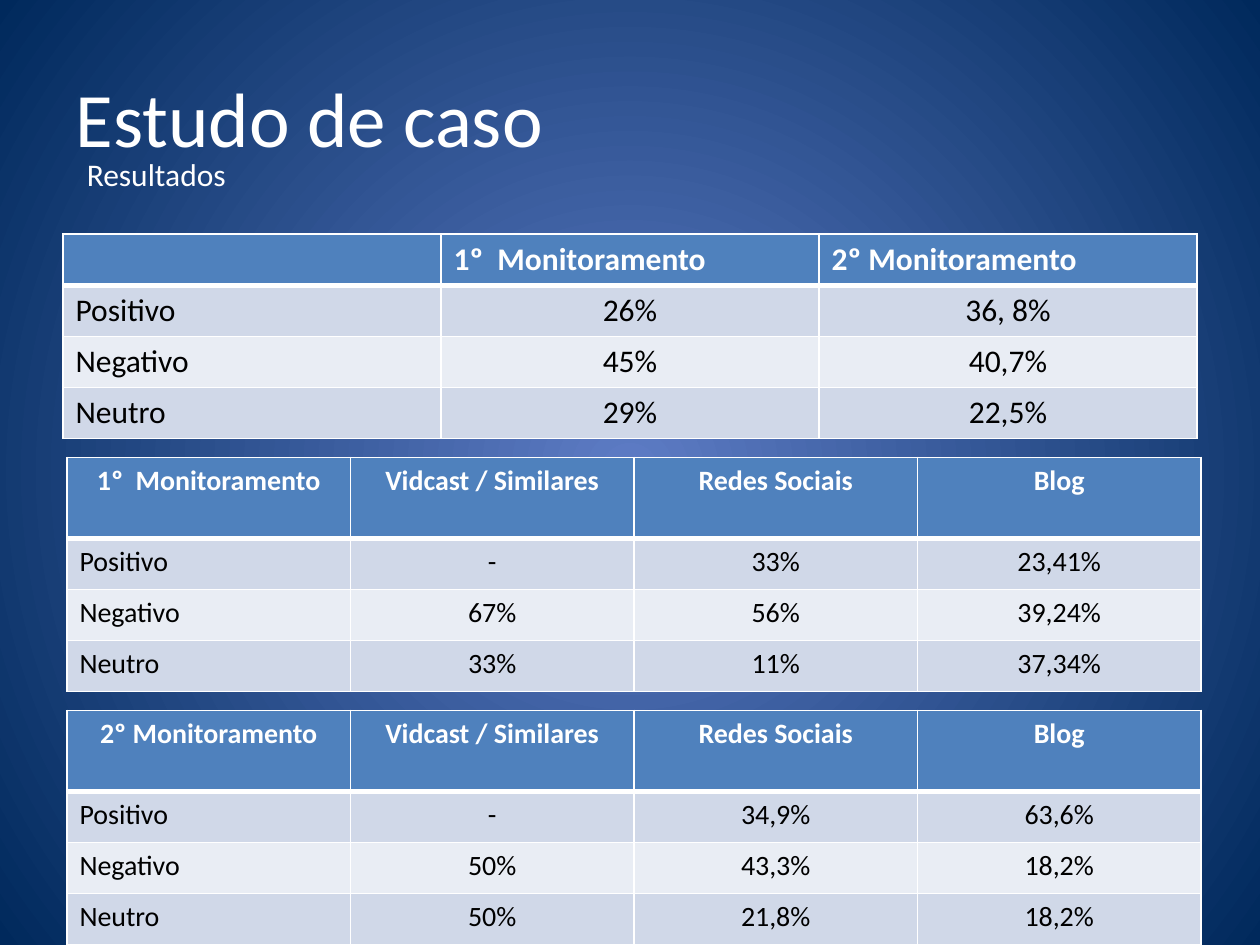
from lxml import etree
from pptx import Presentation
from pptx.dml.color import RGBColor
from pptx.enum.text import MSO_ANCHOR, PP_ALIGN
from pptx.oxml.ns import qn
from pptx.util import Cm, Pt

LEFT, CENTER = PP_ALIGN.LEFT, PP_ALIGN.CENTER
MIDDLE = MSO_ANCHOR.MIDDLE

WHITE = RGBColor(0xFF, 0xFF, 0xFF)
BLACK = RGBColor(0x00, 0x00, 0x00)
HEADER_BLUE = RGBColor(0x4F, 0x81, 0xBD)
BAND_DARK = RGBColor(0xD0, 0xD8, 0xE8)
BAND_LIGHT = RGBColor(0xE9, 0xED, 0xF4)
GLOW_BLUE = RGBColor(0x5E, 0x7C, 0xC5)
EDGE_BLUE = RGBColor(0x00, 0x29, 0x5C)

FONT = "Calibri"
ROW_HEIGHT = 1.03
CHANNELS = ["Vidcast / Similares", "Redes Sociais", "Blog"]

OVERALL = [
    ["", "1º  Monitoramento", "2º Monitoramento"],
    ["Positivo", "26%", "36, 8%"],
    ["Negativo", "45%", "40,7%"],
    ["Neutro", "29%", "22,5%"],
]
FIRST_ROUND = [
    ["1º  Monitoramento", *CHANNELS],
    ["Positivo", "-", "33%", "23,41%"],
    ["Negativo", "67%", "56%", "39,24%"],
    ["Neutro", "33%", "11%", "37,34%"],
]
SECOND_ROUND = [
    ["2º Monitoramento", *CHANNELS],
    ["Positivo", "-", "34,9%", "63,6%"],
    ["Negativo", "50%", "43,3%", "18,2%"],
    ["Neutro", "50%", "21,8%", "18,2%"],
]


def add_text(paragraph, text, size, color, bold=False, align=LEFT):
    paragraph.alignment = align
    run = paragraph.add_run()
    run.text = text
    run.font.name = FONT
    run.font.size = Pt(size)
    run.font.bold = bold
    run.font.color.rgb = color


def paint_background(slide):
    fill = slide.background.fill
    fill.gradient()
    for stop, color in zip(fill.gradient_stops, (GLOW_BLUE, EDGE_BLUE)):
        stop.color.rgb = color
    gradient = slide.element.xpath(".//p:bg//a:gradFill")[0]
    gradient.remove(gradient.find(qn("a:lin")))
    radial = etree.SubElement(gradient, qn("a:path"), path="circle")
    etree.SubElement(radial, qn("a:fillToRect"), l="50000", t="50000", r="50000", b="50000")


def place_heading(slide, left, top, width, height):
    title = slide.shapes.title
    title.left, title.top = Cm(left), Cm(top)
    title.width, title.height = Cm(width), Cm(height)
    title.text_frame.vertical_anchor = MIDDLE
    add_text(title.text_frame.paragraphs[0], "Estudo de caso", 44, WHITE)

    subtitle = slide.shapes.add_textbox(Cm(left + 0.23), Cm(top + 2.24), Cm(3.35), Cm(1.02))
    subtitle.text_frame.word_wrap = False
    add_text(subtitle.text_frame.paragraphs[0], "Resultados", 18, WHITE)


def draw_borders(cell, top, bottom):
    properties = cell._tc.get_or_add_tcPr()
    for side, points in (("L", 1), ("R", 1), ("T", top), ("B", bottom)):
        line = etree.SubElement(properties, qn(f"a:ln{side}"), w=str(Pt(points)))
        solid = etree.SubElement(line, qn("a:solidFill"))
        etree.SubElement(solid, qn("a:srgbClr"), val=str(WHITE))


def place_results(slide, rows, left, top, width, header_height, size, header_align):
    column_count = len(rows[0])
    height = header_height + ROW_HEIGHT * (len(rows) - 1)
    table = slide.shapes.add_table(
        len(rows), column_count, Cm(left), Cm(top), Cm(width), Cm(height)
    ).table
    for column in table.columns:
        column.width = Cm(width / column_count)
    for r, values in enumerate(rows):
        header = r == 0
        table.rows[r].height = Cm(header_height if header else ROW_HEIGHT)
        band = HEADER_BLUE if header else BAND_DARK if r % 2 else BAND_LIGHT
        for c, value in enumerate(values):
            cell = table.cell(r, c)
            draw_borders(cell, 3 if r == 1 else 1, 3 if header else 1)
            cell.fill.solid()
            cell.fill.fore_color.rgb = band
            align = header_align if header else CENTER if c else LEFT
            if value:
                color = WHITE if header else BLACK
                add_text(cell.text_frame.paragraphs[0], value, size, color, header, align)


def main():
    deck = Presentation()
    deck.slide_width, deck.slide_height = Cm(25.4), Cm(19.05)
    slide = deck.slides.add_slide(deck.slide_layouts[5])
    paint_background(slide)
    place_heading(slide, 1.27, 0.76, 22.86, 3.18)
    place_results(slide, OVERALL, 1.27, 4.72, 22.86, ROW_HEIGHT, 18, LEFT)
    place_results(slide, FIRST_ROUND, 1.35, 9.22, 22.86, 1.63, 16, CENTER)
    place_results(slide, SECOND_ROUND, 1.35, 14.32, 22.86, 1.63, 16, CENTER)
    deck.save("out.pptx")


if __name__ == "__main__":
    main()
